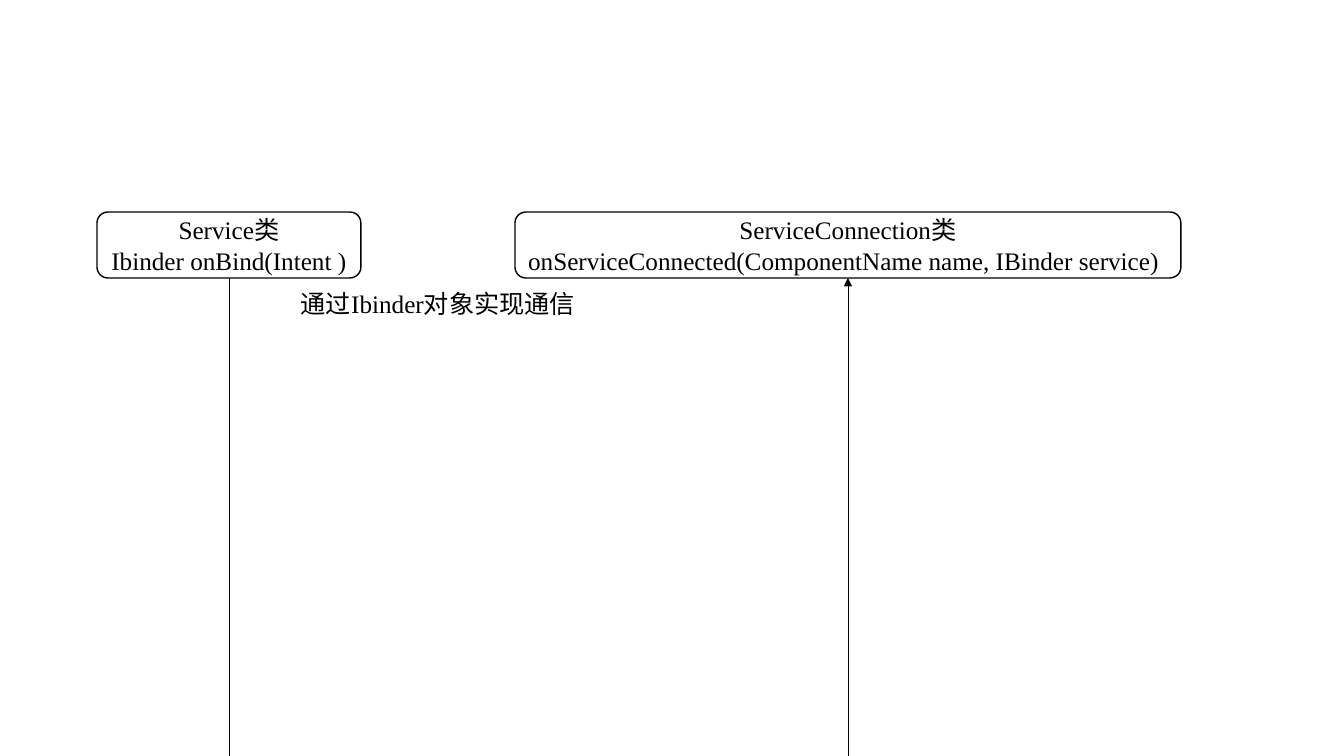
from dataclasses import dataclass

from lxml import etree
from pptx import Presentation
from pptx.dml.color import RGBColor
from pptx.enum.shapes import MSO_CONNECTOR, MSO_SHAPE
from pptx.enum.text import MSO_ANCHOR, PP_ALIGN
from pptx.oxml.ns import qn
from pptx.shapes.autoshape import Shape
from pptx.slide import Slide
from pptx.util import Emu, Pt

ROUNDED, RECTANGLE = MSO_SHAPE.ROUNDED_RECTANGLE, MSO_SHAPE.RECTANGLE
CENTER, LEFT = PP_ALIGN.CENTER, PP_ALIGN.LEFT
STRAIGHT, MIDDLE = MSO_CONNECTOR.STRAIGHT, MSO_ANCHOR.MIDDLE

SLIDE_WIDTH, SLIDE_HEIGHT = 1344, 756
BOX_TOP, BOX_HEIGHT = 212, 66
BOTTOM_SIDE = 2
BLACK, WHITE = "000000", "FFFFFF"


@dataclass(frozen=True)
class Box:
    left: int
    top: int
    width: int
    height: int
    lines: tuple[tuple[str, PP_ALIGN], ...]
    outline: str = BLACK
    geometry: MSO_SHAPE = ROUNDED

    @property
    def center(self) -> int:
        return self.left + self.width // 2


SERVICE = Box(97, BOX_TOP, 264, BOX_HEIGHT,
              (("Service类", CENTER), ("Ibinder onBind(Intent )", CENTER)))
CONNECTION = Box(515, BOX_TOP, 666, BOX_HEIGHT, (
    ("ServiceConnection类", CENTER),
    ("onServiceConnected(ComponentName name, IBinder service)", LEFT),
))
BINDER_LABEL = Box(283, 281, 310, 45, (("通过Ibinder对象实现通信", CENTER),),
                   WHITE, RECTANGLE)


def px(length: int) -> Emu:
    return Emu(round(length * 914400 / 100.8))


def color(value: str) -> RGBColor:
    return RGBColor.from_string(value)


def draw_box(slide: Slide, box: Box) -> Shape:
    shape = slide.shapes.add_shape(box.geometry, px(box.left), px(box.top),
                                   px(box.width), px(box.height))
    shape.shadow.inherit = False
    shape.fill.solid()
    shape.fill.fore_color.rgb = color(WHITE)
    shape.line.color.rgb = color(box.outline)
    shape.line.width = Pt(1)
    frame = shape.text_frame
    frame.word_wrap = True
    frame.vertical_anchor = MIDDLE
    for index, (text, alignment) in enumerate(box.lines):
        paragraph = frame.add_paragraph() if index else frame.paragraphs[0]
        paragraph.text = text
        paragraph.alignment = alignment
        paragraph.font.name = "Times New Roman"
        paragraph.font.size = Pt(18)
        paragraph.font.color.rgb = color(BLACK)
    return shape


def draw_binder_line(slide: Slide, box: Box, shape: Shape, arrow: bool) -> None:
    """Run a line between the slide's lower edge and the bottom of a box."""
    line = slide.shapes.add_connector(STRAIGHT, px(box.center), px(SLIDE_HEIGHT),
                                      px(box.center), px(box.top + box.height))
    line.end_connect(shape, BOTTOM_SIDE)
    line.begin_x = line.end_x
    line.line.color.rgb = color(BLACK)
    line.line.width = Pt(0.5)
    properties = line._element.spPr
    if arrow:
        outline = properties.find(qn("a:ln"))
        etree.SubElement(outline, qn("a:tailEnd"), type="triangle")
    etree.SubElement(properties, qn("a:effectLst"))


def main() -> None:
    deck = Presentation()
    deck.slide_width, deck.slide_height = px(SLIDE_WIDTH), px(SLIDE_HEIGHT)
    slide = deck.slides.add_slide(deck.slide_layouts[6])
    service = draw_box(slide, SERVICE)
    connection = draw_box(slide, CONNECTION)
    draw_binder_line(slide, SERVICE, service, arrow=False)
    draw_binder_line(slide, CONNECTION, connection, arrow=True)
    draw_box(slide, BINDER_LABEL)
    deck.save("out.pptx")


if __name__ == "__main__":
    main()
